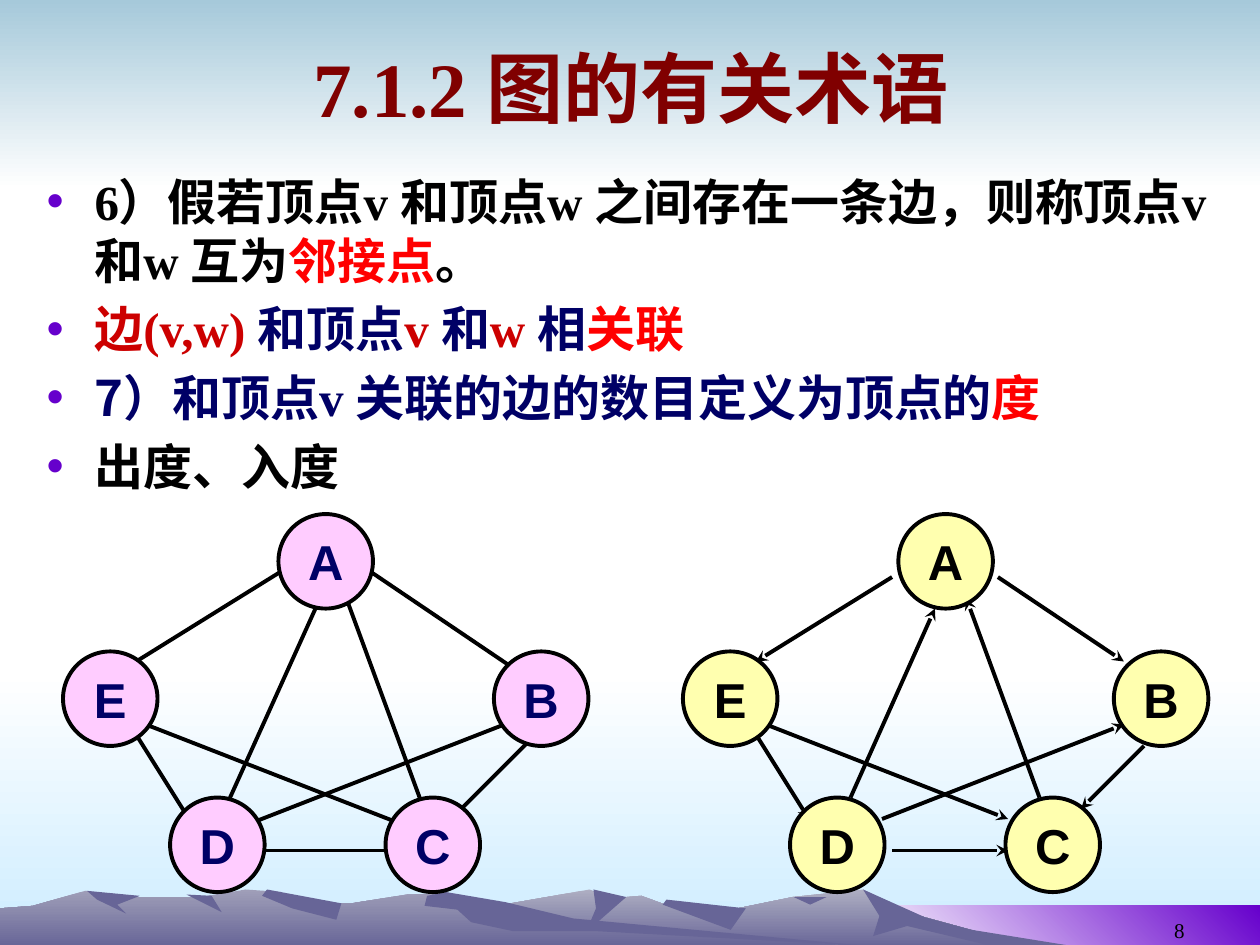
from dataclasses import dataclass
from math import hypot
from lxml.etree import SubElement
from pptx import Presentation
from pptx.dml.color import RGBColor as Rgb
from pptx.enum.shapes import MSO_CONNECTOR as Link, MSO_SHAPE as Preset
from pptx.enum.text import MSO_ANCHOR as Anchor, MSO_AUTO_SIZE as AutoSize, PP_ALIGN as Align
from pptx.oxml.ns import qn
from pptx.util import Emu, Pt

EMU_PER_PX = 9144


@dataclass(frozen=True)
class Theme:
    serif: str = "Times New Roman"
    han: str = "Noto Sans CJK SC"
    sans: str = "Arial"
    black: str = "000000"
    white: str = "FFFFFF"
    maroon: str = "800000"
    red: str = "FF0000"
    crimson: str = "CC0000"
    navy: str = "000066"
    violet: str = "6600CC"
    sky: str = "A6C9DA"
    ice: str = "CCECFF"
    slate: str = "676597"
    far_ridge: str = "AEAEC2"
    near_ridge: str = "9F9EB8"
    pink: str = "FFCCFF"
    yellow: str = "FFFFAF"
    title_size: int = 44
    text_size: int = 28
    number_size: int = 12
    stroke: float = 2.25


THEME = Theme()


@dataclass(frozen=True)
class Band:
    box: tuple[int, int, int, int]
    start: str
    end: str
    angle: int = 270


@dataclass(frozen=True)
class Ridge:
    points: tuple[tuple[int, int], ...]
    top: str = THEME.slate


@dataclass(frozen=True)
class Span:
    text: str
    color: str
    font: str = THEME.han


@dataclass(frozen=True)
class Graph:
    left: int
    fill: str
    ink: str
    directed: bool


BANDS = (
    Band((0, 533, 1000, 217), THEME.white, THEME.ice),
    Band((0, 0, 1000, 150), THEME.sky, THEME.white),
    Band((683, 719, 317, 33), THEME.white, THEME.violet, 45),
)
RIDGES = (
    Ridge(((821, 752), (723, 725), (685, 706), (629, 712), (566, 725), (536, 721), (509, 711),
           (486, 713), (468, 706), (394, 719), (327, 731), (258, 752)), THEME.far_ridge),
    Ridge(((771, 738), (734, 728), (685, 706), (698, 727), (693, 743), (720, 735), (792, 752), (858, 752))),
    Ridge(((471, 706), (473, 721), (465, 740), (497, 712))),
    Ridge(((529, 714), (526, 718), (580, 738), (592, 721))),
    Ridge(((630, 712), (643, 718), (656, 712))),
    Ridge(((690, 752), (432, 732), (354, 709), (323, 710), (279, 717), (236, 717), (223, 708), (195, 706),
           (160, 712), (94, 712), (68, 707), (26, 719), (0, 721), (0, 752)), THEME.near_ridge),
    Ridge(((212, 706), (208, 711), (232, 721), (267, 730), (271, 717))),
    Ridge(((354, 708), (339, 711), (337, 719), (363, 722), (374, 732), (407, 739), (472, 739),
           (690, 751), (455, 729), (401, 716))),
    Ridge(((148, 710), (176, 724), (168, 711))),
    Ridge(((69, 707), (77, 714), (100, 725), (93, 718), (111, 711))),
)
BULLETS = (
    (Span("6）假若顶点v 和顶点w 之间存在一条边，则称顶点v 和w 互为", THEME.black, THEME.serif),
     Span("邻接点", THEME.red, THEME.serif), Span("。", THEME.black, THEME.serif)),
    (Span("边", THEME.crimson), Span("(v,w) ", THEME.crimson, THEME.serif), Span("和顶点", THEME.navy),
     Span("v ", THEME.crimson, THEME.serif), Span("和", THEME.navy),
     Span("w ", THEME.crimson, THEME.serif), Span("相", THEME.navy), Span("关联", THEME.red)),
    (Span("7）和顶点", THEME.navy), Span("v ", THEME.navy, THEME.serif),
     Span("关联的边的数目定义为顶点的", THEME.navy), Span("度", THEME.red)),
    (Span("出度、入度", THEME.black),),
)
NODE_SIZE = 75
HIDDEN_REACH = 9
NODES = {"B": (342, 517), "A": (171, 408), "D": (85, 633), "E": (0, 517), "C": (256, 633)}
EDGES = (
    (166, 458, 58, 525), (58, 583, 100, 650), (166, 675, 258, 675),
    (283, 633, 225, 475), (250, 458, 350, 525), (366, 592, 316, 642),
    (133, 633, 200, 483), (158, 650, 350, 575), (66, 575, 258, 650),
)
GRAPHS = (
    Graph(50, THEME.pink, THEME.navy, False),
    Graph(542, THEME.yellow, THEME.black, True),
)


def px(*lengths: int) -> list[Emu]:
    return [Emu(length * EMU_PER_PX) for length in lengths]


def set_gradient(fill, start: str, end: str, angle: int = 270) -> None:
    fill.gradient()
    fill.gradient_angle = angle
    for stop, color in zip(fill.gradient_stops, (start, end)):
        stop.color.rgb = Rgb.from_string(color)


def style(font, name: str, size: int, color: str, bold: bool = True) -> None:
    font.name, font.size, font.bold = name, Pt(size), bold
    font.color.rgb = Rgb.from_string(color)


def draw_band(slide, band: Band) -> None:
    backdrop = slide.shapes.add_shape(Preset.RECTANGLE, *px(*band.box))
    backdrop.shadow.inherit = False
    backdrop.line.fill.background()
    set_gradient(backdrop.fill, band.start, band.end, band.angle)


def draw_ridge(slide, ridge: Ridge) -> None:
    outline = slide.shapes.build_freeform(*ridge.points[0], scale=EMU_PER_PX)
    outline.add_line_segments(ridge.points[1:], close=True)
    mountain = outline.convert_to_shape()
    mountain.shadow.inherit = False
    mountain.line.fill.background()
    if ridge.top == THEME.slate:
        mountain.fill.solid()
        mountain.fill.fore_color.rgb = Rgb.from_string(THEME.slate)
    else:
        set_gradient(mountain.fill, ridge.top, THEME.slate)


def place(holder, box: tuple[int, int, int, int], anchor: Anchor) -> None:
    holder.left, holder.top, holder.width, holder.height = px(*box)
    holder.text_frame.word_wrap = True
    holder.text_frame.auto_size = AutoSize.NONE
    holder.text_frame.vertical_anchor = anchor


def write_line(frame, text: str, align: Align, *look) -> None:
    line = frame.paragraphs[0]
    line.alignment = align
    line.add_run().text = text
    style(line.font, *look)


def write_bullet(paragraph, spans: tuple[Span, ...], first: bool) -> None:
    props = paragraph._p.get_or_add_pPr()
    indent, = px(38)
    props.set("marL", str(indent))
    props.set("indent", str(-indent))
    SubElement(SubElement(props, qn("a:buClr")), qn("a:srgbClr"), val=THEME.violet)
    SubElement(props, qn("a:buFont"), typeface=THEME.sans)
    SubElement(props, qn("a:buChar"), char="•")
    paragraph.space_before = Pt(0 if first else 5.6)
    paragraph.font.size, paragraph.font.bold = Pt(THEME.text_size), True
    for span in spans:
        run = paragraph.add_run()
        run.text = span.text
        run.font.name = span.font
        run.font.color.rgb = Rgb.from_string(span.color)
        SubElement(run._r.get_or_add_rPr(), qn("a:ea"), typeface=THEME.han)


def draw_edge(slide, edge: tuple[int, int, int, int], graph: Graph) -> None:
    x1, y1, x2, y2 = edge
    reach = 0 if graph.directed else HIDDEN_REACH / hypot(x2 - x1, y2 - y1)
    dx, dy = round((x2 - x1) * reach), round((y2 - y1) * reach)
    ends = px(graph.left + x1 - dx, y1 - dy, graph.left + x2 + dx, y2 + dy)
    link = slide.shapes.add_connector(Link.STRAIGHT, *ends)
    link.line.color.rgb = Rgb.from_string(THEME.black)
    link.line.width = Pt(THEME.stroke)
    if graph.directed:
        SubElement(link.line._get_or_add_ln(), qn("a:tailEnd"), type="stealth")
    SubElement(link._element.spPr, qn("a:effectLst"))


def draw_graph(slide, graph: Graph) -> None:
    for edge in EDGES:
        draw_edge(slide, edge, graph)
    for letter, (x, y) in NODES.items():
        node = slide.shapes.add_shape(Preset.OVAL, *px(graph.left + x, y, NODE_SIZE, NODE_SIZE))
        node.shadow.inherit = False
        node.fill.solid()
        node.fill.fore_color.rgb = Rgb.from_string(graph.fill)
        node.line.color.rgb = Rgb.from_string(THEME.black)
        node.line.width = Pt(THEME.stroke)
        node.text_frame.word_wrap = False
        node.text_frame.vertical_anchor = Anchor.MIDDLE
        write_line(node.text_frame, letter, Align.CENTER, THEME.sans, THEME.text_size, graph.ink)


def main() -> None:
    deck = Presentation()
    deck.slide_width, deck.slide_height = px(1000, 750)
    slide = deck.slides.add_slide(deck.slide_layouts[1])
    title, terms = slide.placeholders
    for band in BANDS:
        draw_band(slide, band)
    for ridge in RIDGES:
        draw_ridge(slide, ridge)
    number_box = (717, 703, 233, 50)
    number = slide.shapes.add_textbox(*px(*number_box))
    place(number, number_box, Anchor.BOTTOM)
    write_line(number.text_frame, "8", Align.RIGHT, THEME.serif, THEME.number_size, THEME.black, False)
    for holder in (title, terms):
        slide.shapes._spTree.append(holder._element)
    place(title, (51, 13, 900, 112), Anchor.MIDDLE)
    write_line(title.text_frame, "7.1.2 图的有关术语", Align.CENTER, THEME.serif, THEME.title_size, THEME.maroon)
    place(terms, (27, 131, 945, 567), Anchor.TOP)
    for index, spans in enumerate(BULLETS):
        frame = terms.text_frame
        paragraph = frame.add_paragraph() if index else frame.paragraphs[0]
        write_bullet(paragraph, spans, index == 0)
    for graph in GRAPHS:
        draw_graph(slide, graph)
    deck.save("out.pptx")


if __name__ == "__main__":
    main()
